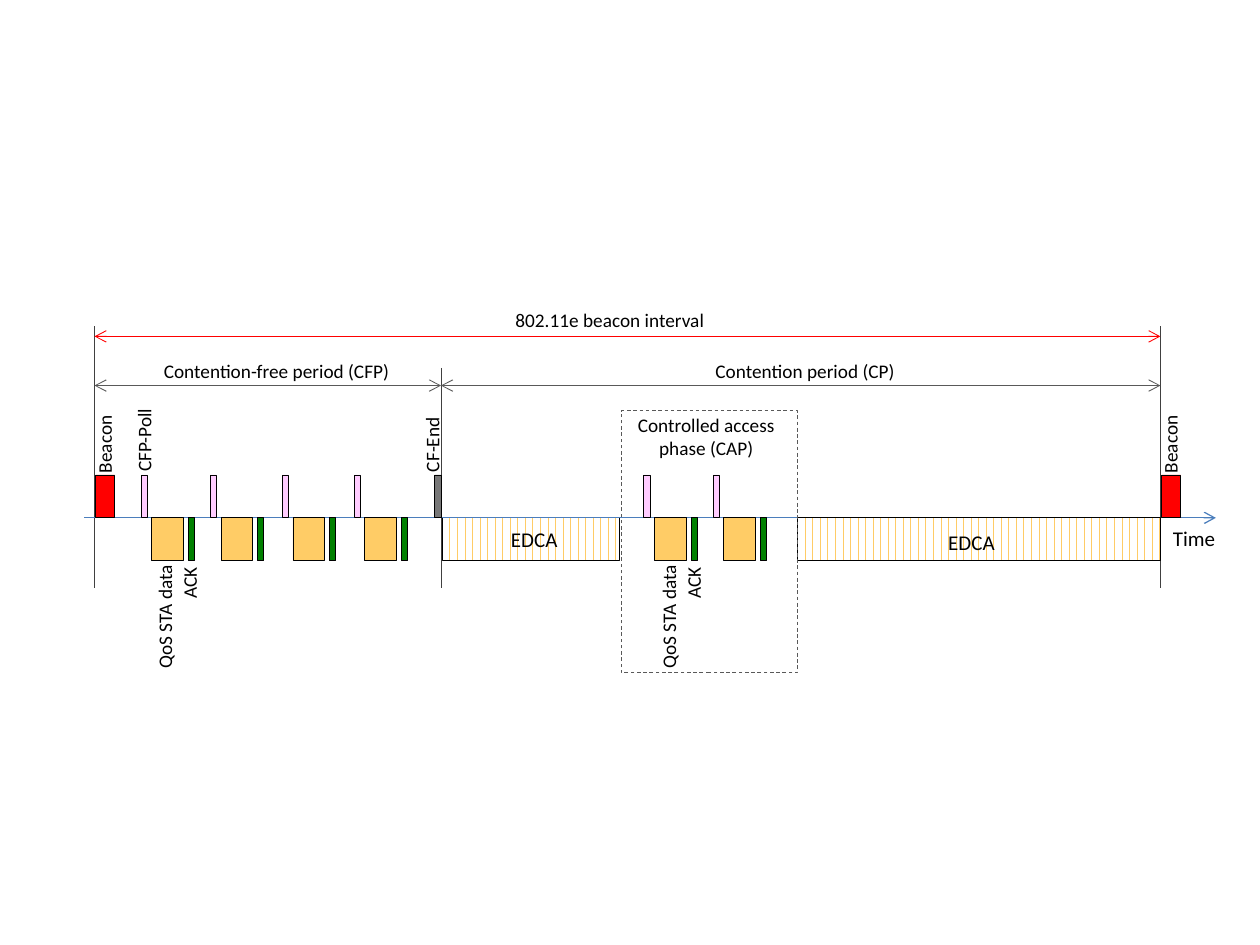
from copy import deepcopy
from typing import NamedTuple

from lxml.etree import SubElement
from pptx import Presentation
from pptx.dml.color import RGBColor as Rgb
from pptx.enum.dml import MSO_LINE as Dash, MSO_PATTERN as Pattern
from pptx.enum.shapes import MSO_CONNECTOR as Link, MSO_SHAPE as Shape
from pptx.enum.text import MSO_AUTO_SIZE as Fit, PP_ALIGN as Align
from pptx.oxml.ns import qn
from pptx.util import Inches, Pt

COLS, ROWS = 1000, 750
START, SPLIT, END = 75, 350, 921
AXIS, HIGH = 411, 34
TOP = AXIS - HIGH
BLACK, WHITE, RED = "000000", "FFFFFF", "FF0000"
DARK, GREY, BLUE = "404040", "595959", "4B7EBC"
PINK, ORANGE, GREEN, STEEL = "FFCCFF", "FFCC66", "008000", "777777"

deck = Presentation()
deck.slide_width, deck.slide_height = Inches(10), Inches(7.5)
slide = deck.slides.add_slide(deck.slide_layouts[6])
shapes = slide.shapes


class Block(NamedTuple):
    x: float
    y: float
    w: float
    h: float = HIGH
    fill: str = ""
    hatch: bool = False
    line: str = BLACK
    dash: bool = False


class Rule(NamedTuple):
    x1: float
    y1: float
    x2: float
    y2: float
    line: str
    head: bool = False
    tail: bool = False
    width: float = 0.5


class Label(NamedTuple):
    text: str
    x: float
    y: float
    w: float
    h: float = 29
    size: int = 11
    turn: int = 0
    align: Align = Align.CENTER


def across(col: float) -> int:
    return round(deck.slide_width * col / COLS)


def down(row: float) -> int:
    return round(deck.slide_height * row / ROWS)


def color(code: str) -> Rgb:
    return Rgb.from_string(code)


def draw_block(b: Block) -> None:
    box = shapes.add_shape(Shape.RECTANGLE, across(b.x), down(b.y), across(b.w), down(b.h))
    box.shadow.inherit = False
    box.line.color.rgb = color(b.line)
    box.line.width = Pt(0.5)
    if b.dash:
        box.line.dash_style = Dash.DASH
    if b.hatch:
        box.fill.patterned()
        box.fill.pattern = Pattern.DASHED_VERTICAL
        box.fill.fore_color.rgb = color(b.fill)
        box.fill.back_color.rgb = color(WHITE)
    elif b.fill:
        box.fill.solid()
        box.fill.fore_color.rgb = color(b.fill)
    else:
        box.fill.background()


def draw_rule(r: Rule) -> None:
    rule = shapes.add_connector(
        Link.STRAIGHT, across(r.x1), down(r.y1), across(r.x2), down(r.y2))
    rule.line.color.rgb = color(r.line)
    rule.line.width = Pt(r.width)
    for tag, on in (("a:headEnd", r.head), ("a:tailEnd", r.tail)):
        if on:
            SubElement(rule.line._get_or_add_ln(), qn(tag), type="arrow")
    SubElement(rule._element.spPr, qn("a:effectLst"))


def draw_label(t: Label) -> None:
    box = shapes.add_textbox(across(t.x), down(t.y), across(t.w), down(t.h))
    box.rotation = t.turn
    frame = box.text_frame
    frame.word_wrap = False
    frame.auto_size = Fit.SHAPE_TO_FIT_TEXT
    frame.text = t.text
    para = frame.paragraphs[0]
    para.alignment = t.align
    for run in para.runs:
        run.font.name = "Calibri"
        run.font.size = Pt(t.size)
        run.font.color.rgb = color(BLACK)
    for gap in para._p.findall(qn("a:br")):
        gap.append(deepcopy(para.runs[0]._r.rPr))


def draw_burst(x: float) -> None:
    draw_block(Block(x, TOP, 5, fill=PINK))
    draw_block(Block(x + 8.5, AXIS, 25, fill=ORANGE))
    draw_block(Block(x + 37.5, AXIS, 5, fill=GREEN))


def draw_span(x1: float, x2: float, y: float, line: str) -> None:
    draw_rule(Rule(x1, y, x2, y, line, head=True, tail=True))


def draw_beacon(x: float) -> None:
    draw_block(Block(x, TOP, 15, fill=RED))
    draw_label(Label("Beacon", x - 26, 338, 66, turn=270))


def draw_names(x: float) -> None:
    draw_label(Label("QoS STA data", x, 475, 104, turn=270))
    draw_label(Label("ACK", x + 49, 448, 45, turn=270, align=Align.LEFT))


draw_block(Block(351, AXIS, 141, fill=ORANGE, hatch=True))
for x, y in ((START, 259), (SPLIT, 292), (END, 259)):
    draw_rule(Rule(x, y, x, 467, DARK))
draw_rule(Rule(67, AXIS, 965, AXIS, BLUE, tail=True, width=0.75))
draw_span(START, END, 267, RED)
draw_span(START, SPLIT, 306, GREY)
draw_span(SPLIT, END, 306, GREY)

for x in (START + 1, END + 1):
    draw_beacon(x)
for x in (112, 167, 224, 281, 511, 566):
    draw_burst(x)
draw_block(Block(345, TOP, 5, fill=STEEL))
draw_block(Block(633, AXIS, 288, fill=ORANGE, hatch=True))
for x in (79, 479):
    draw_names(x)

for label in (
    Label("802.11e beacon interval", 398, 240, 172),
    Label("Contention-free period (CFP)", 119, 280, 201),
    Label("Contention period (CP)", 557, 280, 164),
    Label("Controlled access\vphase (CAP)", 496, 323, 129, 47),
    Label("CFP-Poll", 79, 335, 71, turn=270),
    Label("CF-End", 311, 338, 64, turn=270, align=Align.LEFT),
    Label("EDCA", 395, 413, 58, 30, 12),
    Label("EDCA", 742, 415, 58, 30, 12),
    Label("Time", 921, 412, 54, 30, 12, align=Align.LEFT),
):
    draw_label(label)
draw_block(Block(493, 326, 140, 208, line=GREY, dash=True))

deck.save("out.pptx")
